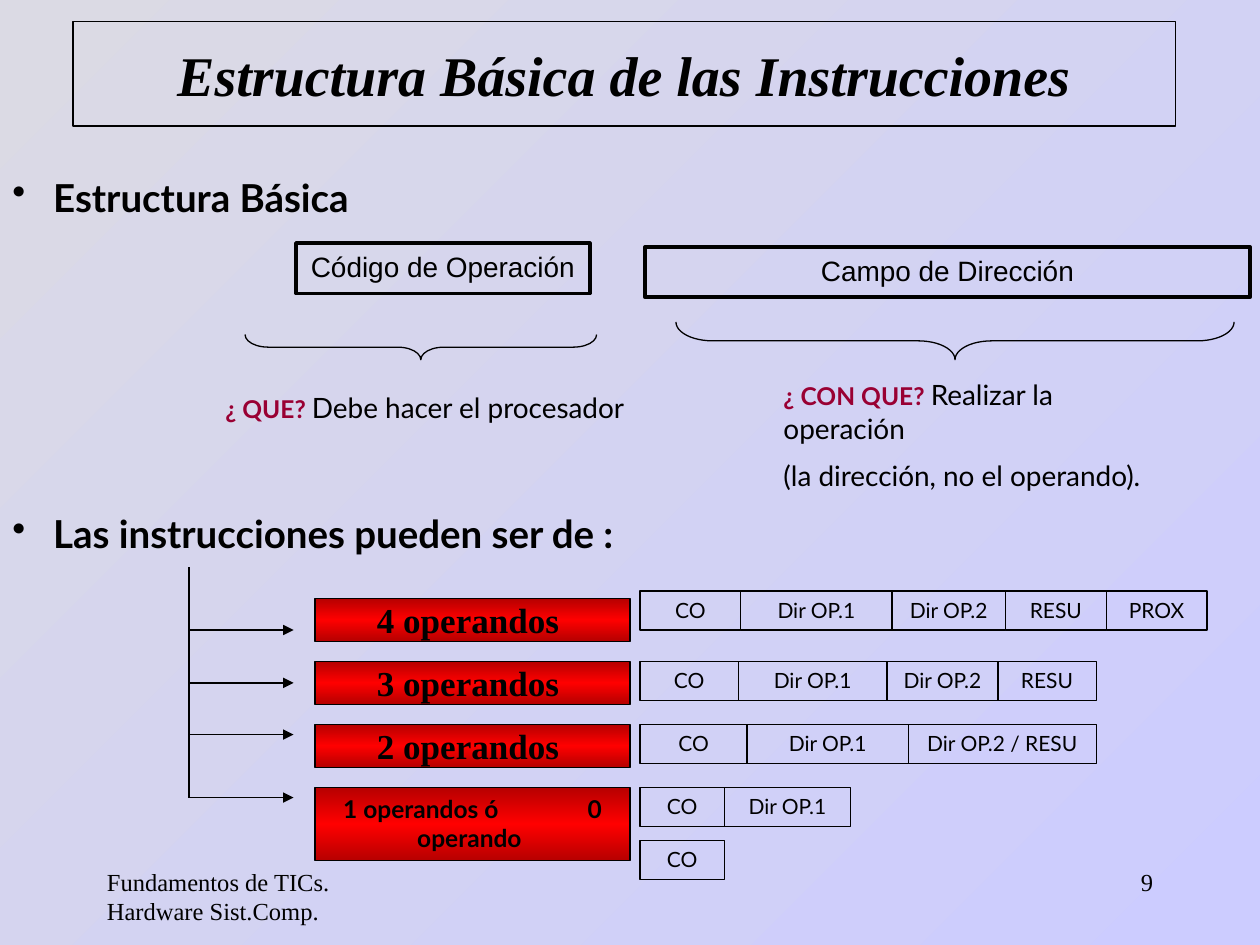
from dataclasses import dataclass

import copy
from lxml import etree
from pptx import Presentation, util as u
from pptx.dml.color import RGBColor
from pptx.enum import shapes, text
from pptx.oxml.ns import qn

BLACK = RGBColor(0x00, 0x00, 0x00)
CRIMSON = RGBColor(0x99, 0x00, 0x33)
RED = RGBColor(0xFF, 0x00, 0x00)
DARK_RED = RGBColor(0xB6, 0x00, 0x00)
GREY = RGBColor(0xDB, 0xDA, 0xE4)
LAVENDER = RGBColor(0xCC, 0xCC, 0xFF)
SERIF, SANS, ARIAL = "Times New Roman", "Lato", "Arial"
CENTER, RIGHT = text.PP_ALIGN.CENTER, text.PP_ALIGN.RIGHT
MIDDLE = text.MSO_ANCHOR.MIDDLE


@dataclass(frozen=True)
class Box:
    left: float
    top: float
    width: float
    height: float

    def lengths(self) -> list:
        return [u.Inches(v) for v in (self.left, self.top, self.width, self.height)]


@dataclass(frozen=True)
class FieldRow:
    top: float
    fields: tuple  # (label, width) pairs


FIELD_LEFT, FIELD_HEIGHT = 5.08, 0.31
FIELD_ROWS = (
    FieldRow(4.69, (("CO", 0.8), ("Dir OP.1", 1.2), ("Dir OP.2", 0.9), ("RESU", 0.8), ("PROX", 0.8))),
    FieldRow(5.25, (("CO", 0.78), ("Dir OP.1", 1.18), ("Dir OP.2", 0.88), ("RESU", 0.78))),
    FieldRow(5.75, (("CO", 0.85), ("Dir OP.1", 1.28), ("Dir OP.2 / RESU", 1.49))),
    FieldRow(6.25, (("CO", 0.67), ("Dir OP.1", 1))),
    FieldRow(6.67, (("CO", 0.67),)),
)


def write(shape, content: str, *, size: float, font: str = SANS, color: RGBColor = BLACK,
          bold: bool = False, italic: bool = False, align=text.PP_ALIGN.LEFT,
          anchor=text.MSO_ANCHOR.TOP, wrap: bool = True, new_paragraph: bool = False,
          space_before: float = 0):
    """Append a formatted run to the shape and return its paragraph."""
    frame = shape.text_frame
    frame.word_wrap = wrap
    frame.vertical_anchor = anchor
    paragraph = frame.add_paragraph() if new_paragraph else frame.paragraphs[-1]
    paragraph.alignment = align
    paragraph.space_before = u.Pt(space_before)
    run = paragraph.add_run()
    run.text = content
    run.font.size, run.font.name = u.Pt(size), font
    run.font.bold, run.font.italic = bold, italic
    run.font.color.rgb = color
    return paragraph


def add_outline(slide, box: Box, line_width: float = 0.75,
                kind=shapes.MSO_SHAPE.RECTANGLE):
    shape = slide.shapes.add_shape(kind, *box.lengths())
    shape.shadow.inherit = False
    shape.fill.background()
    shape.line.color.rgb = BLACK
    shape.line.width = u.Pt(line_width)
    return shape


def add_red_box(slide, box: Box):
    shape = add_outline(slide, box)
    shape.fill.gradient()
    shape.fill.gradient_angle = 270
    stop_list = shape.element.find(".//" + qn("a:gsLst"))
    stop_list.append(copy.deepcopy(stop_list[0]))
    for stop, position, color in zip(shape.fill.gradient_stops, (0, 0.5, 1), (DARK_RED, RED, DARK_RED)):
        stop.position = position
        stop.color.rgb = color
    return shape


def add_text_box(slide, box: Box):
    return slide.shapes.add_textbox(*box.lengths())


def add_line(slide, start: tuple, end: tuple, arrow: bool = False) -> None:
    connector = slide.shapes.add_connector(
        shapes.MSO_CONNECTOR.STRAIGHT, *(u.Inches(v) for v in start + end))
    connector.line.color.rgb = BLACK
    connector.line.width = u.Pt(0.75)
    properties = connector.element.spPr
    if arrow:
        etree.SubElement(properties.find(qn("a:ln")), qn("a:tailEnd"), type="triangle")
    etree.SubElement(properties, qn("a:effectLst"))


def add_bullet(slide, box: Box, content: str) -> None:
    paragraph = write(add_text_box(slide, box), content, size=22, bold=True)
    properties = paragraph._p.get_or_add_pPr()
    properties.set("marL", str(u.Inches(0.25)))
    properties.set("indent", str(-u.Inches(0.25)))
    etree.SubElement(properties, qn("a:buChar"), char="•")


def add_brace(slide, box: Box, curve: float) -> None:
    brace = add_outline(slide, box, kind=shapes.MSO_SHAPE.LEFT_BRACE)
    brace.rotation = 270
    brace.adjustments[0], brace.adjustments[1] = curve, 0.5


def add_field_row(slide, row: FieldRow) -> None:
    left = FIELD_LEFT
    for label, width in row.fields:
        field = add_outline(slide, Box(left, row.top, width, FIELD_HEIGHT))
        write(field, label, size=12, align=CENTER)
        left += width


def main() -> None:
    presentation = Presentation()
    presentation.slide_width, presentation.slide_height = u.Inches(10), u.Inches(7.5)
    slide = presentation.slides.add_slide(presentation.slide_layouts[6])

    # Background
    background = slide.background.fill
    background.gradient()
    background.gradient_angle = 315
    for stop, color in zip(background.gradient_stops, (GREY, LAVENDER)):
        stop.color.rgb = color

    # Footer, number and title
    write(add_text_box(slide, Box(0.75, 6.83, 2.08, 0.5)),
          "Fundamentos de TICs. Hardware Sist.Comp.", size=14, font=SERIF)
    write(add_text_box(slide, Box(7.17, 6.83, 2.08, 0.5)), "9", size=14, font=SERIF, align=RIGHT)
    write(add_outline(slide, Box(0.58, 0.17, 8.75, 0.83)), "Estructura Básica de las Instrucciones",
          size=32, font=SERIF, bold=True, italic=True, align=CENTER, anchor=MIDDLE)

    # Headings
    add_bullet(slide, Box(0, 1.33, 3.75, 0.47), " Estructura Básica")
    add_bullet(slide, Box(0, 4, 6.17, 0.47), " Las instrucciones pueden ser de :")

    # Basic structure: two parts, braces and their meaning
    write(add_outline(slide, Box(2.35, 1.93, 2.33, 0.4), 2.25), "Código de Operación",
          size=16, font=ARIAL, align=CENTER, wrap=False)
    write(add_outline(slide, Box(5.12, 1.96, 4.8, 0.4), 2.25), "Campo de Dirección",
          size=16, font=ARIAL, align=CENTER)
    add_brace(slide, Box(3.24, 1.36, 0.2, 2.79), 0.92)
    add_brace(slide, Box(7.43, 0.49, 0.3, 4.43), 0.97)
    what = add_text_box(slide, Box(1.69, 3.05, 3.67, 0.37))
    write(what, "¿ QUE? ", size=14, color=CRIMSON, bold=True)
    write(what, "Debe hacer el procesador", size=16)
    with_what = add_text_box(slide, Box(6.12, 2.95, 3.17, 1.04))
    write(with_what, "¿ CON QUE? ", size=14, color=CRIMSON, bold=True)
    write(with_what, "Realizar la operación", size=16)
    write(with_what, "(la dirección, no el operando).", size=16, new_paragraph=True, space_before=8)

    # Branches from the second heading
    for y in (5, 5.42, 5.83, 6.33):
        add_line(slide, (1.5, y - 0.5), (1.5, y))
        add_line(slide, (1.5, y), (2.33, y), arrow=True)

    # Operand counts
    for index, count in enumerate((4, 3, 2)):
        write(add_red_box(slide, Box(2.5, 4.75 + 0.5 * index, 2.5, 0.34)), f"{count} operandos ",
              size=20, font=SERIF, bold=True, align=CENTER, anchor=MIDDLE, wrap=False)
    paragraph = write(add_red_box(slide, Box(2.5, 6.25, 2.5, 0.58)), "1 operandos ó\t0 operando ",
                      size=14, bold=True, align=CENTER)
    tabs = etree.SubElement(paragraph._p.get_or_add_pPr(), qn("a:tabLst"))
    etree.SubElement(tabs, qn("a:tab"), pos=str(u.Inches(1.94)), algn="l")

    # Instruction formats
    for row in FIELD_ROWS:
        add_field_row(slide, row)

    presentation.save("out.pptx")


if __name__ == "__main__":
    main()
